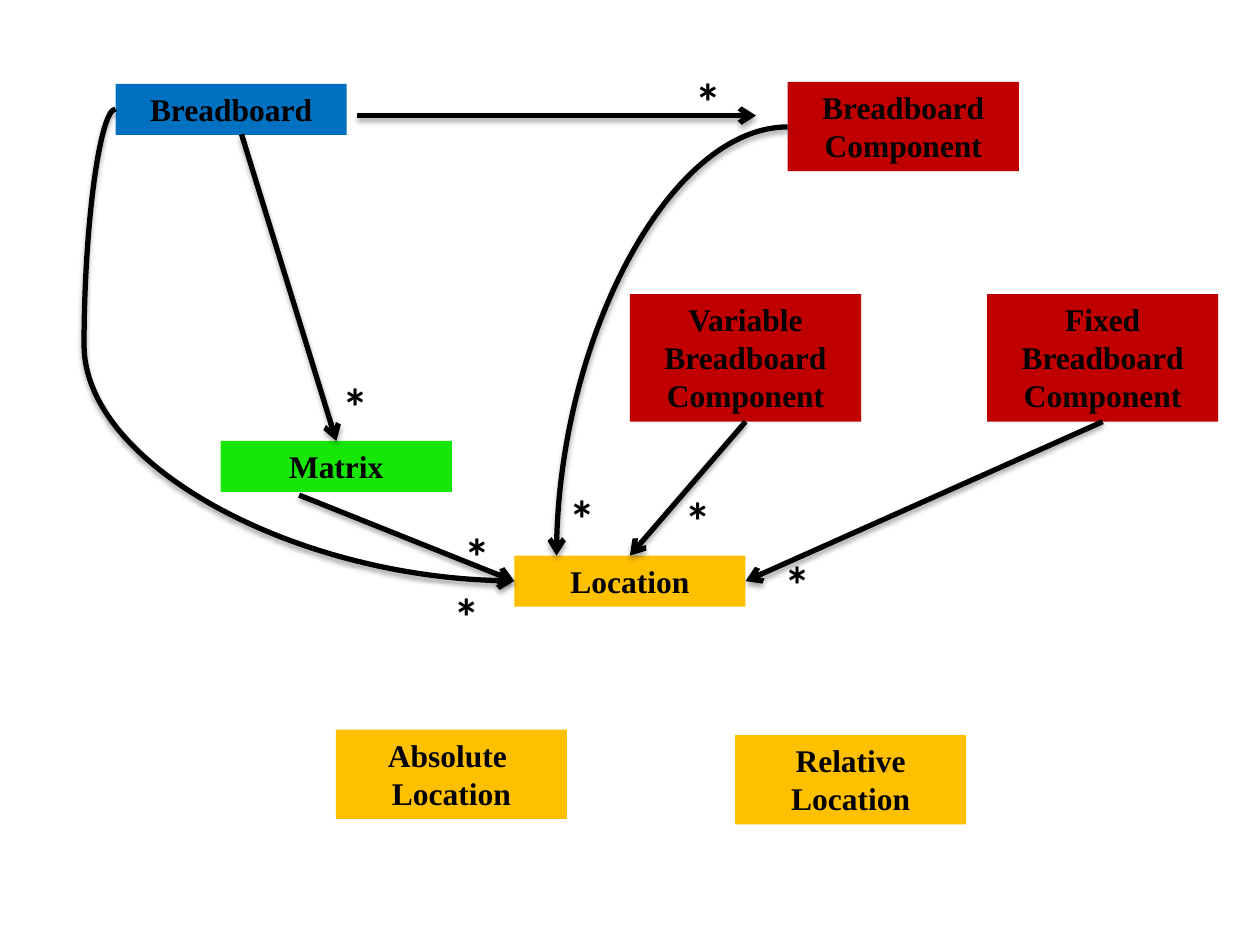
from typing import NamedTuple, Optional

from lxml.etree import SubElement
from pptx import Presentation
from pptx.dml.color import RGBColor
from pptx.enum.shapes import MSO_CONNECTOR as Route, MSO_SHAPE as Preset
from pptx.enum.text import MSO_ANCHOR as Anchor, MSO_AUTO_SIZE as AutoSize, PP_ALIGN as Align
from pptx.oxml.ns import qn
from pptx.util import Cm, Pt

COLOURS = {
    "ink": "000000",
    "board": "0070C0",
    "matrix": "17E707",
    "location": "FFC000",
    "component": "C00000",
}
BOX_WIDTH = 4.66
LINE_HEIGHT = 0.77
BOX_PADDING = 0.26
TOP, LEFT, BOTTOM, RIGHT = range(4)


class ClassBox(NamedTuple):
    name: str
    left: float
    top: float
    line_count: int
    colour: str
    paragraphs: tuple


class Joint(NamedTuple):
    box: str
    site: int


class Point(NamedTuple):
    x: float
    y: float


class Arrow(NamedTuple):
    start: Point | Joint
    end: Point | Joint
    route: Route = Route.STRAIGHT
    preset: Optional[str] = None
    bend: Optional[int] = None


BOXES = [
    ClassBox("breadboard", 2.33, 1.69, 1, "board", ("Breadboard",)),
    ClassBox("matrix", 4.45, 8.89, 1, "matrix", ("Matrix",)),
    ClassBox("location", 10.37, 11.2, 1, "location", ("Location",)),
    ClassBox("relative", 14.82, 14.82, 2, "location", ("Relative", "Location")),
    ClassBox("absolute", 6.77, 14.71, 2, "location", ("Absolute ", "Location")),
    ClassBox("variable", 12.7, 5.93, 3, "component", ("Variable", "Breadboard", "Component")),
    ClassBox("fixed", 19.9, 5.93, 3, "component", ("Fixed Breadboard", "Component")),
    ClassBox("component", 15.88, 1.65, 2, "component", ("Breadboard", "Component")),
]
ARROWS = [
    Arrow(Point(4.87, 2.71), Joint("matrix", TOP)),
    Arrow(Point(7.2, 2.33), Point(15.24, 2.33)),
    Arrow(Point(2.33, 2.2), Point(10.37, 11.71), Route.CURVE, bend=-7900),
    Arrow(Point(15.88, 2.56), Point(11.22, 11.2), Route.CURVE, preset="curvedConnector2"),
    Arrow(Joint("fixed", BOTTOM), Joint("location", RIGHT)),
    Arrow(Joint("variable", BOTTOM), Joint("location", TOP)),
    Arrow(Point(6.03, 9.98), Joint("location", LEFT)),
]
MULTIPLICITIES = [
    Point(6.65, 7.41), Point(11.22, 9.67), Point(13.55, 9.72), Point(15.56, 11),
    Point(9.1, 10.44), Point(13.76, 1.27), Point(8.89, 11.64),
]


def colour(name: str) -> RGBColor:
    return RGBColor.from_string(COLOURS[name])


def add_bold_run(paragraph, text: str, font_name: str, size: int) -> None:
    run = paragraph.add_run()
    run.text = text
    run.font.name = font_name
    run.font.size = Pt(size)
    run.font.bold = True
    run.font.color.rgb = colour("ink")


def draw_box(slide, box: ClassBox):
    height = BOX_PADDING + LINE_HEIGHT * box.line_count
    shape = slide.shapes.add_shape(
        Preset.RECTANGLE, Cm(box.left), Cm(box.top), Cm(BOX_WIDTH), Cm(height))
    shape.shadow.inherit = False
    shape.fill.solid()
    shape.fill.fore_color.rgb = colour(box.colour)
    shape.line.fill.background()
    frame = shape.text_frame
    frame.word_wrap = True
    frame.auto_size = AutoSize.SHAPE_TO_FIT_TEXT
    frame.vertical_anchor = Anchor.TOP
    for index, text in enumerate(box.paragraphs):
        paragraph = frame.add_paragraph() if index else frame.paragraphs[0]
        paragraph.alignment = Align.CENTER
        add_bold_run(paragraph, text, "Times New Roman", 18)
    return shape


def add_shadow(properties) -> None:
    """Put a soft shadow straight below a connector."""
    effects = SubElement(properties, qn("a:effectLst"))
    shadow = SubElement(effects, qn("a:outerShdw"), blurRad=str(Pt(3.1)),
                        dist=str(Pt(1.8)), dir="5400000", rotWithShape="0")
    tint = SubElement(shadow, qn("a:srgbClr"), val=COLOURS["ink"])
    SubElement(tint, qn("a:alpha"), val="35000")


def draw_arrow(slide, arrow: Arrow, shapes: dict) -> None:
    ends = [(0, 0) if isinstance(end, Joint) else (Cm(end.x), Cm(end.y))
            for end in (arrow.start, arrow.end)]
    connector = slide.shapes.add_connector(arrow.route, *ends[0], *ends[1])
    if isinstance(arrow.start, Joint):
        connector.begin_connect(shapes[arrow.start.box], arrow.start.site)
    if isinstance(arrow.end, Joint):
        connector.end_connect(shapes[arrow.end.box], arrow.end.site)
    connector.line.width = Pt(3)
    connector.line.color.rgb = colour("ink")

    properties = connector._element.spPr
    SubElement(properties.find(qn("a:ln")), qn("a:tailEnd"), type="arrow")
    add_shadow(properties)
    geometry = properties.find(qn("a:prstGeom"))
    if arrow.preset:
        geometry.set("prst", arrow.preset)
    if arrow.bend is not None:
        SubElement(geometry.find(qn("a:avLst")), qn("a:gd"),
                   name="adj1", fmla=f"val {arrow.bend}")


def draw_multiplicity(slide, corner: Point) -> None:
    label = slide.shapes.add_textbox(Cm(corner.x), Cm(corner.y), Cm(0.97), Cm(1.55))
    frame = label.text_frame
    frame.word_wrap = False
    frame.auto_size = AutoSize.SHAPE_TO_FIT_TEXT
    add_bold_run(frame.paragraphs[0], "*", "Calibri", 30)


def main() -> None:
    presentation = Presentation()
    presentation.slide_width, presentation.slide_height = Cm(25.4), Cm(19.05)
    slide = presentation.slides.add_slide(presentation.slide_layouts[6])
    shapes = {box.name: draw_box(slide, box) for box in BOXES}
    for arrow in ARROWS:
        draw_arrow(slide, arrow, shapes)
    for corner in MULTIPLICITIES:
        draw_multiplicity(slide, corner)
    presentation.save("out.pptx")


if __name__ == "__main__":
    main()
